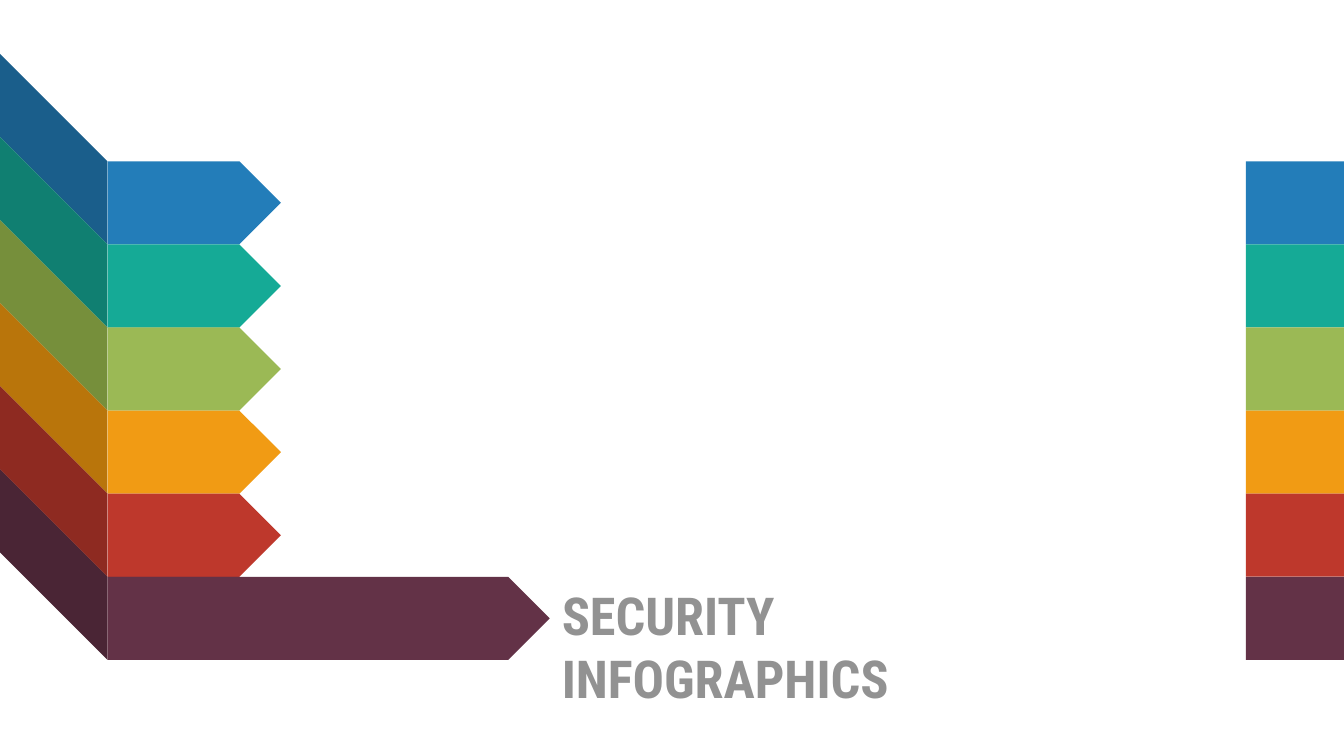
import pptx
import pptx.util
import pptx.dml.color
import pptx.enum.shapes
import pptx.enum.text

Inches = pptx.util.Inches
RGBColor = pptx.dml.color.RGBColor
MSO_SHAPE = pptx.enum.shapes.MSO_SHAPE

GREY = RGBColor(0x92, 0x92, 0x92)
BANDS = [
    (RGBColor(0x23, 0x7D, 0xB9), RGBColor(0x1A, 0x5E, 0x8B)),
    (RGBColor(0x15, 0xAA, 0x96), RGBColor(0x10, 0x7F, 0x71)),
    (RGBColor(0x9B, 0xB9, 0x55), RGBColor(0x76, 0x8F, 0x3B)),
    (RGBColor(0xF1, 0x9B, 0x14), RGBColor(0xB9, 0x75, 0x0B)),
    (RGBColor(0xBE, 0x38, 0x2C), RGBColor(0x8E, 0x2A, 0x21)),
    (RGBColor(0x63, 0x32, 0x47), RGBColor(0x4A, 0x25, 0x35)),
]
SLIDE_WIDTH = 10
FOLD = 0.8
TOP, BOTTOM = 1.2, 4.91
BAND_HEIGHT = (BOTTOM - TOP) / len(BANDS)
SHORT_ARROW, LONG_ARROW = 1.29, 3.29
BLOCK_LEFT, BLOCK_WIDTH = 9.27, 0.73


def paint(shape, color):
    shape.shadow.inherit = False
    shape.fill.solid()
    shape.fill.fore_color.rgb = color
    shape.line.fill.background()


def add_band(kind, left, top, width, color):
    shape = slide.shapes.add_shape(
        kind, Inches(left), Inches(top), Inches(width), Inches(BAND_HEIGHT))
    paint(shape, color)


presentation = pptx.Presentation()
presentation.slide_width = Inches(SLIDE_WIDTH)
presentation.slide_height = Inches(SLIDE_WIDTH * 9 / 16)
slide = presentation.slides.add_slide(presentation.slide_layouts[5])

title = slide.shapes.title
title.left, title.top = Inches(4.08), Inches(4.29)
title.width, title.height = Inches(4.27), Inches(0.57)
frame = title.text_frame
frame.word_wrap = True
frame.margin_right = Inches(0.2)
frame.auto_size = pptx.enum.text.MSO_AUTO_SIZE.SHAPE_TO_FIT_TEXT
frame.vertical_anchor = pptx.enum.text.MSO_ANCHOR.TOP
paragraph = frame.paragraphs[0]
paragraph.alignment = pptx.enum.text.PP_ALIGN.LEFT
run = paragraph.add_run()
run.text = "SECURITY INFOGRAPHICS"
run.font.name = "Roboto Condensed"
run.font.size = pptx.util.Pt(28)
run.font.bold = True
run.font.color.rgb = GREY

for index, (color, shade) in enumerate(BANDS):
    top = TOP + index * BAND_HEIGHT
    bottom = top + BAND_HEIGHT
    corners = [(FOLD, top), (FOLD, bottom), (0, bottom - FOLD), (0, top - FOLD)]
    points = [(Inches(x), Inches(y)) for x, y in corners]
    builder = slide.shapes.build_freeform(*points[0])
    builder.add_line_segments(points[1:], close=True)
    paint(builder.convert_to_shape(), shade)
    add_band(MSO_SHAPE.PENTAGON, FOLD, top, SHORT_ARROW, color)
    add_band(MSO_SHAPE.RECTANGLE, BLOCK_LEFT, top, BLOCK_WIDTH, color)

add_band(MSO_SHAPE.PENTAGON, FOLD, BOTTOM - BAND_HEIGHT, LONG_ARROW, BANDS[-1][0])

presentation.save("out.pptx")
